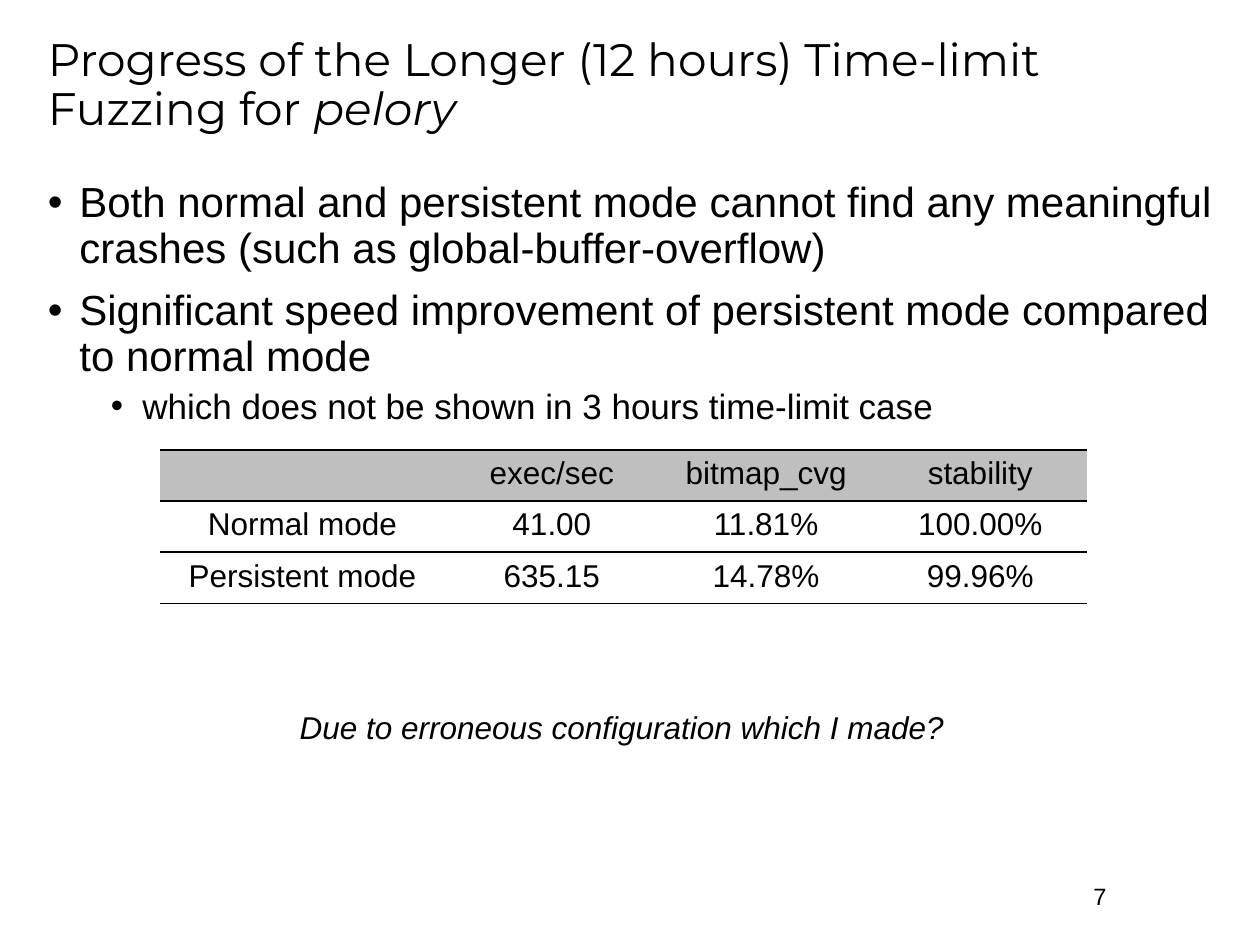
from lxml import etree
from pptx import Presentation
from pptx import util as u
from pptx.dml.color import RGBColor
from pptx.enum import text
from pptx.oxml import ns

prs = Presentation()
prs.slide_width, prs.slide_height = u.Inches(10), u.Inches(7.5)
s = prs.slides.add_slide(prs.slide_layouts[1])
MARGIN, WIDTH = u.Inches(0.28), u.Inches(9.44)


def style(p, size, font="Arial", color="000000"):
    for r in p.runs:
        r.font.size, r.font.name = u.Pt(size), font
        r.font.color.rgb = RGBColor.from_string(color)


def add(parent, tag, index=None, **attrs):
    el = etree.Element(ns.qn(tag), attrs)
    parent.insert(len(parent) if index is None else index, el)
    return el


# Title
title = s.shapes.title
title.left, title.top, title.width, title.height = MARGIN, u.Inches(0.17), WIDTH, u.Inches(1.03)
tf = title.text_frame
tf.text = "Progress of the Longer (12 hours) Time-limit Fuzzing for "
tf.auto_size = text.MSO_AUTO_SIZE.NONE
tf.vertical_anchor = text.MSO_ANCHOR.MIDDLE
p = tf.paragraphs[0]
p.alignment, p.line_spacing = text.PP_ALIGN.LEFT, 0.9
r = p.add_run()
r.text, r.font.italic = "pelory", True
style(p, 26, "Montserrat")

# Bullet list
body = s.placeholders[1]
body.left, body.top, body.width, body.height = MARGIN, u.Inches(1.39), WIDTH, u.Inches(5.37)
bullets = [
    (0, "Both normal and persistent mode cannot find any meaningful crashes (such as global-buffer-overflow)"),
    (0, "Significant speed improvement of persistent mode compared to normal mode"),
    (1, "which does not be shown in 3 hours time-limit case"),
]
tf = body.text_frame
tf.text = "\n".join(line for _, line in bullets)
tf.auto_size = text.MSO_AUTO_SIZE.NONE
for p, (level, _) in zip(tf.paragraphs, bullets):
    p.level, p.line_spacing = level, 0.9
    p.space_before = u.Pt((10, 5)[level])
    style(p, (24, 20)[level])
    pPr = p._p.get_or_add_pPr()
    pPr.set("marL", str(u.Inches(0.25 + 0.5 * level)))
    pPr.set("indent", str(u.Inches(-0.25)))
    add(pPr, "a:buFont", typeface="Arial")
    add(pPr, "a:buChar", char="•")

# Results table
rows = [
    ("", "exec/sec", "bitmap_cvg", "stability"),
    ("Normal mode", "41.00", "11.81%", "100.00%"),
    ("Persistent mode", "635.15", "14.78%", "99.96%"),
]
table = s.shapes.add_table(3, 4, u.Inches(1.27), u.Inches(3.57), u.Inches(7.36), u.Inches(1.22)).table
table.first_row = table.horz_banding = False
for i, col in enumerate(table.columns):
    col.width = u.Inches(1.7 if i else 2.26)
for i, row in enumerate(rows):
    for j, value in enumerate(row):
        cell = table.cell(i, j)
        cell.text = value
        cell.margin_top = cell.margin_bottom = u.Inches(0.05)
        p = cell.text_frame.paragraphs[0]
        p.alignment = text.PP_ALIGN.CENTER
        style(p, 18)
        if i == 0:
            cell.fill.solid()
            cell.fill.fore_color.rgb = RGBColor.from_string("BFBFBF")
        else:
            cell.fill.background()
        # Horizontal rules only, heavier around the header row
        top, bottom = (1.5 if i < 2 else 1), (1.5 if i == 0 else 1)
        tcPr = cell._tc.get_or_add_tcPr()
        for k, (side, pt) in enumerate([("L", 0), ("R", 0), ("T", top), ("B", bottom)]):
            ln = add(tcPr, f"a:ln{side}", k, w=str(u.Pt(pt)))
            if pt:
                add(add(ln, "a:solidFill"), "a:srgbClr", val="000000")
            else:
                add(ln, "a:noFill")

# Closing remark and page number
for x, y, w, h, line, size, italic in [
    (2.28, 5.57, 5.45, 0.4, "Due to erroneous configuration which I made?", 18, True),
    (8.58, 6.95, 0.43, 0.33, "7", 13.5, None),
]:
    tf = s.shapes.add_textbox(*map(u.Inches, (x, y, w, h))).text_frame
    tf.text, tf.word_wrap = line, False
    tf.auto_size = text.MSO_AUTO_SIZE.SHAPE_TO_FIT_TEXT
    p = tf.paragraphs[0]
    style(p, size)
    p.runs[0].font.italic = italic

prs.save("out.pptx")
